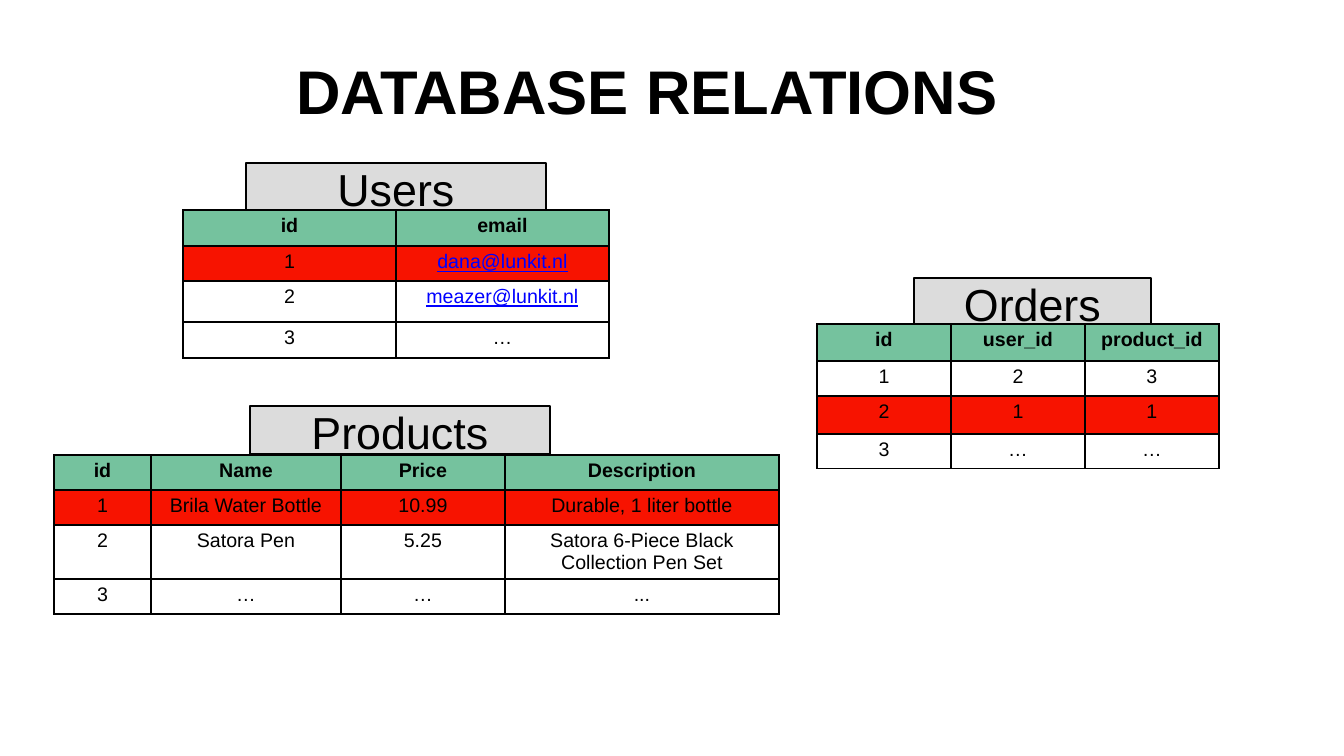
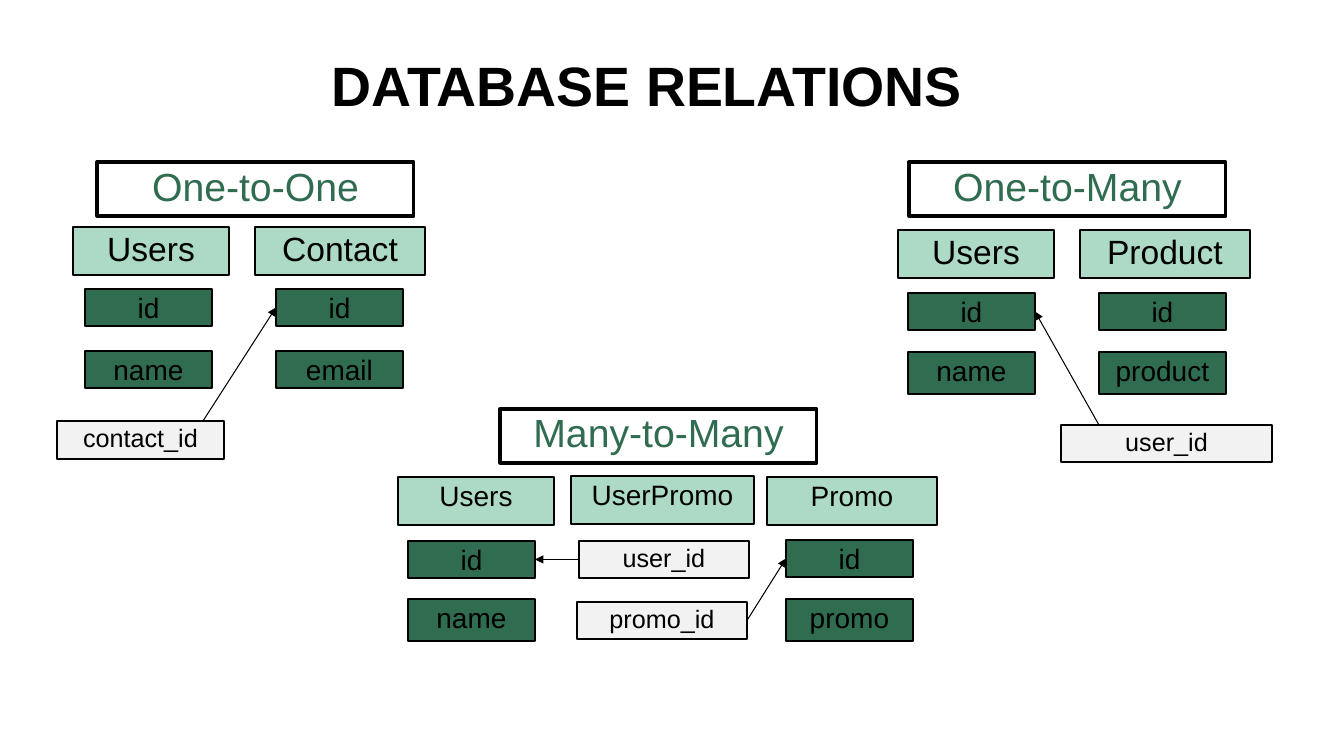
from dataclasses import dataclass

from lxml import etree
from pptx import Presentation
from pptx.dml.color import RGBColor
from pptx.enum.shapes import MSO_CONNECTOR, MSO_SHAPE
from pptx.enum.text import MSO_ANCHOR, MSO_AUTO_SIZE, PP_ALIGN
from pptx.oxml.ns import qn
from pptx.util import Emu, Pt

RECT = MSO_SHAPE.RECTANGLE
LINE = MSO_CONNECTOR.STRAIGHT
TOP, MID = MSO_ANCHOR.TOP, MSO_ANCHOR.MIDDLE
LEFT, MIDST = PP_ALIGN.LEFT, PP_ALIGN.CENTER
FIXED = MSO_AUTO_SIZE.NONE

SCALE = 914400 / 100.8
WIDE, HIGH = 1344, 756
PAD = 5
FONT = "Arial"
BLACK, WHITE, GREY, PALE = "000000", "FFFFFF", "DCDCDC", "F2F2F2"
GREEN, MINT, DARK = "75C29E", "ACDAC5", "306C50"
RED, BLUE = "F71300", "0000FF"
SIDE_L, SIDE_R = 1, 3
TITLE = "DATABASE RELATIONS"


@dataclass(frozen=True)
class Style:
    fill: str
    size: int
    ink: str = BLACK
    line: float = 1
    anchor: MSO_ANCHOR = TOP


@dataclass(frozen=True)
class Box:
    text: str
    x: int
    y: int
    w: int
    h: int
    style: Style
    tag: str = ""


@dataclass(frozen=True)
class Link:
    start: str
    end: str
    side: int
    out: int = -1
    x: int = 0
    y: int = 0


@dataclass(frozen=True)
class Grid:
    label: Box
    x: int
    y: int
    cols: tuple[int, ...]
    rows: tuple[int, ...]
    data: tuple[tuple[str, ...], ...]
    mark: int


LABEL = Style(GREY, 32)
KIND = Style("", 28, DARK, 2.25, MID)
KIND_TOP = Style("", 28, DARK, 2.25)
TABLE = Style(MINT, 24)
SMALL = Style(MINT, 20)
FIELD = Style(DARK, 20)
KEY = Style(PALE, 18)

GRIDS = (
    Grid(Box("Products", 250, 406, 300, 48, LABEL), 54, 455,
         (97, 190, 164, 274), (35, 35, 54, 35),
         (("id", "Name", "Price", "Description"),
          ("1", "Brila Water Bottle", "10.99", "Durable, 1 liter bottle"),
          ("2", "Satora Pen", "5.25", "Satora 6-Piece Black Collection Pen Set"),
          ("3", "…", "…", "...")), 1),
    Grid(Box("Users", 246, 163, 300, 48, LABEL), 183, 210,
         (213, 213), (36, 35, 41, 36),
         (("id", "email"),
          ("1", "dana@lunkit.nl"),
          ("2", "meazer@lunkit.nl"),
          ("3", "…")), 1),
    Grid(Box("Orders", 914, 278, 237, 48, LABEL), 817, 324,
         (134, 134, 134), (37, 35, 38, 35),
         (("id", "user_id", "product_id"),
          ("1", "2", "3"),
          ("2", "1", "1"),
          ("3", "…", "…")), 2),
)

BOXES = (
    Box("One-to-One", 97, 162, 317, 54, KIND),
    Box("Users", 73, 227, 156, 48, TABLE),
    Box("Contact", 255, 227, 170, 48, TABLE),
    Box("id", 85, 289, 127, 37, FIELD),
    Box("id", 276, 289, 127, 37, FIELD, "contact"),
    Box("name", 85, 351, 127, 37, FIELD),
    Box("email", 276, 351, 127, 37, FIELD),
    Box("contact_id", 57, 421, 167, 38, KEY, "contact key"),
    Box("One-to-Many", 909, 162, 317, 54, KIND),
    Box("Users", 898, 230, 156, 48, TABLE),
    Box("Product", 1080, 230, 170, 48, TABLE),
    Box("id", 908, 293, 127, 37, FIELD, "owner"),
    Box("id", 1099, 293, 127, 37, FIELD),
    Box("name", 908, 352, 127, 42, FIELD),
    Box("product", 1099, 352, 127, 42, FIELD),
    Box("user_id", 1061, 425, 211, 37, KEY, "owner key"),
    Box("Many-to-Many", 500, 409, 317, 54, KIND_TOP),
    Box("Users", 398, 477, 156, 48, SMALL),
    Box("UserPromo", 571, 476, 183, 48, SMALL),
    Box("Promo", 767, 477, 170, 48, SMALL),
    Box("id", 408, 541, 127, 37, FIELD, "user"),
    Box("id", 786, 540, 127, 37, FIELD, "promo"),
    Box("name", 408, 599, 127, 42, FIELD),
    Box("promo", 786, 599, 127, 42, FIELD),
    Box("user_id", 579, 541, 170, 37, KEY, "user key"),
    Box("promo_id", 577, 602, 170, 37, KEY, "promo key"),
)

LINKS = (
    Link("contact key", "contact", SIDE_L, x=203, y=421),
    Link("owner key", "owner", SIDE_R, x=1099, y=425),
    Link("user key", "user", SIDE_R, SIDE_L),
    Link("promo key", "promo", SIDE_L, SIDE_R),
)


def px(n: int) -> Emu:
    return Emu(round(n * SCALE))


def rgb(code: str) -> RGBColor:
    return RGBColor.from_string(code)


def add_run(para, text: str, size: float, ink: str = BLACK,
            bold: bool = False, under: bool = False) -> None:
    run = para.add_run()
    run.text = text
    font = run.font
    font.name, font.size = FONT, Pt(size)
    font.bold, font.underline = bold, under
    font.color.rgb = rgb(ink)


def set_frame(frame, anchor: MSO_ANCHOR, align: PP_ALIGN):
    frame.word_wrap = True
    frame.auto_size = FIXED
    frame.vertical_anchor = anchor
    frame.margin_left = frame.margin_right = px(PAD)
    frame.margin_top = frame.margin_bottom = px(PAD)
    para = frame.paragraphs[0]
    para.alignment = align
    para.line_spacing = 0.9
    para.space_before = Pt(0)
    return para


def add_page(deck, x: int, y: int, w: int, size: float):
    page = deck.slides.add_slide(deck.slide_layouts[5])
    title = page.shapes.title
    title.left, title.top = px(x), px(y)
    title.width, title.height = px(w), px(90)
    add_run(set_frame(title.text_frame, MID, LEFT), TITLE, size, bold=True)
    return page


def add_box(page, box: Box):
    style = box.style
    shape = page.shapes.add_shape(RECT, px(box.x), px(box.y), px(box.w), px(box.h))
    shape.shadow.inherit = False
    if style.fill:
        shape.fill.solid()
        shape.fill.fore_color.rgb = rgb(style.fill)
    else:
        shape.fill.background()
    shape.line.color.rgb = rgb(BLACK)
    shape.line.width = Pt(style.line)
    para = set_frame(shape.text_frame, style.anchor, MIDST)
    add_run(para, box.text, style.size, style.ink)
    return shape


def add_edges(cell) -> None:
    props = cell._tc.get_or_add_tcPr()
    for i, name in enumerate(("a:lnL", "a:lnR", "a:lnT", "a:lnB")):
        edge = etree.Element(qn(name), w=str(Pt(1)))
        fill = etree.SubElement(edge, qn("a:solidFill"))
        etree.SubElement(fill, qn("a:srgbClr"), val=BLACK)
        props.insert(i, edge)


def add_cell(cell, text: str, fill: str, bold: bool) -> None:
    cell.fill.solid()
    cell.fill.fore_color.rgb = rgb(fill)
    add_edges(cell)
    para = cell.text_frame.paragraphs[0]
    para.alignment = MIDST
    mail = "@" in text
    add_run(para, text, 14, BLUE if mail else BLACK, bold, mail)


def add_grid(page, grid: Grid) -> None:
    add_box(page, grid.label)
    table = page.shapes.add_table(
        len(grid.rows), len(grid.cols), px(grid.x), px(grid.y),
        px(sum(grid.cols)), px(sum(grid.rows))).table
    table.first_row = table.horz_banding = False
    for col, w in zip(table.columns, grid.cols):
        col.width = px(w)
    fills = {0: GREEN, grid.mark: RED}
    for r, (h, line) in enumerate(zip(grid.rows, grid.data)):
        table.rows[r].height = px(h)
        for c, text in enumerate(line):
            add_cell(table.cell(r, c), text, fills.get(r, WHITE), r == 0)


def add_link(page, link: Link, ends: dict) -> None:
    start = px(link.x), px(link.y)
    wire = page.shapes.add_connector(LINE, *start, *start)
    if link.out >= 0:
        wire.begin_connect(ends[link.start], link.out)
    wire.end_connect(ends[link.end], link.side)
    wire.line.color.rgb = rgb(BLACK)
    wire.line.width = Pt(0.75)
    etree.SubElement(wire.line._get_or_add_ln(), qn("a:tailEnd"), type="triangle")
    etree.SubElement(wire._element.spPr, qn("a:effectLst"))


def main() -> None:
    deck = Presentation()
    deck.slide_width, deck.slide_height = px(WIDE), px(HIGH)
    page = add_page(deck, 291, 50, 762, 44)
    for grid in GRIDS:
        add_grid(page, grid)
    page = add_page(deck, 326, 44, 694, 39.6)
    ends = {}
    for box in BOXES:
        shape = add_box(page, box)
        if box.tag:
            ends[box.tag] = shape
    for link in LINKS:
        add_link(page, link, ends)
    deck.save("out.pptx")


if __name__ == "__main__":
    main()
